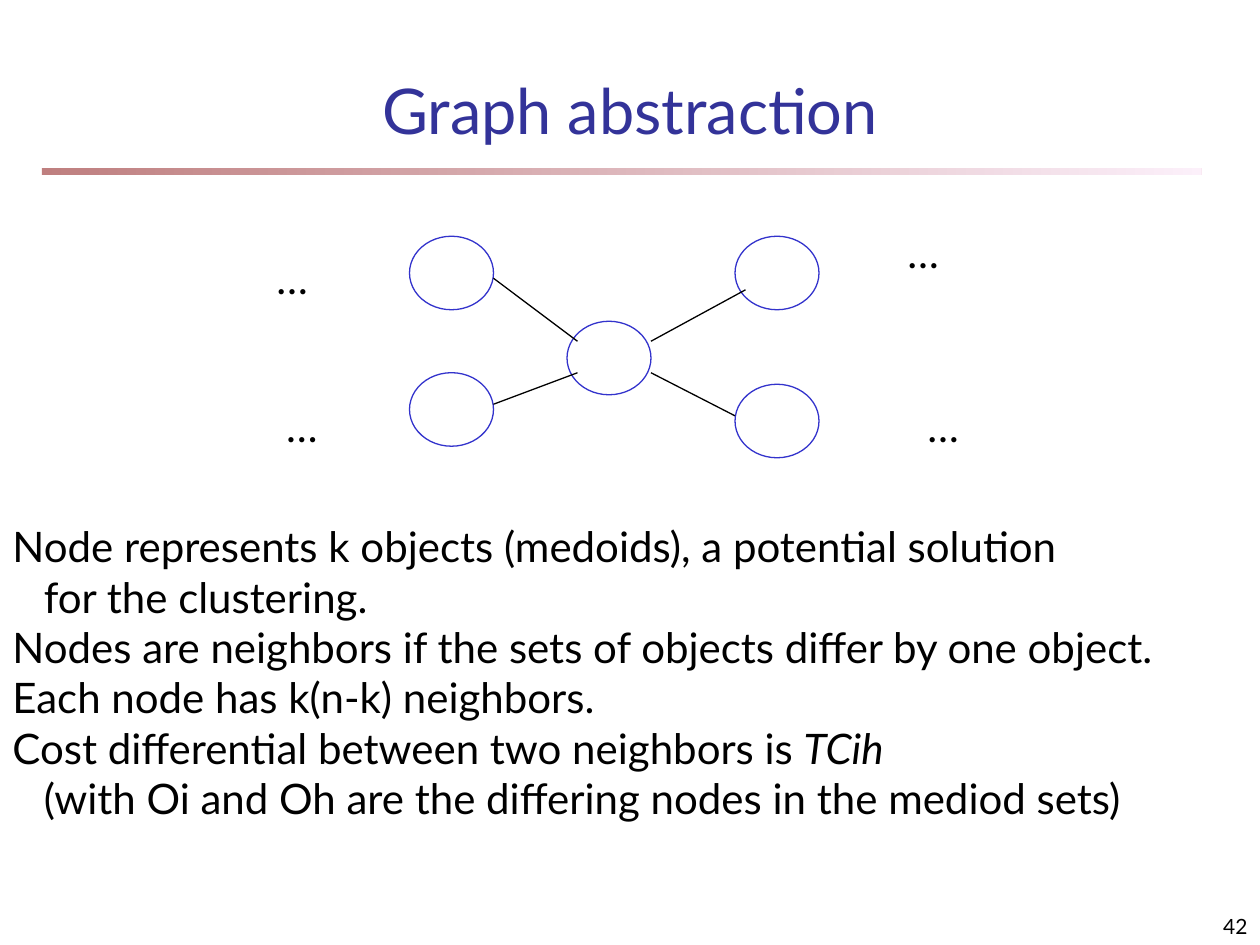
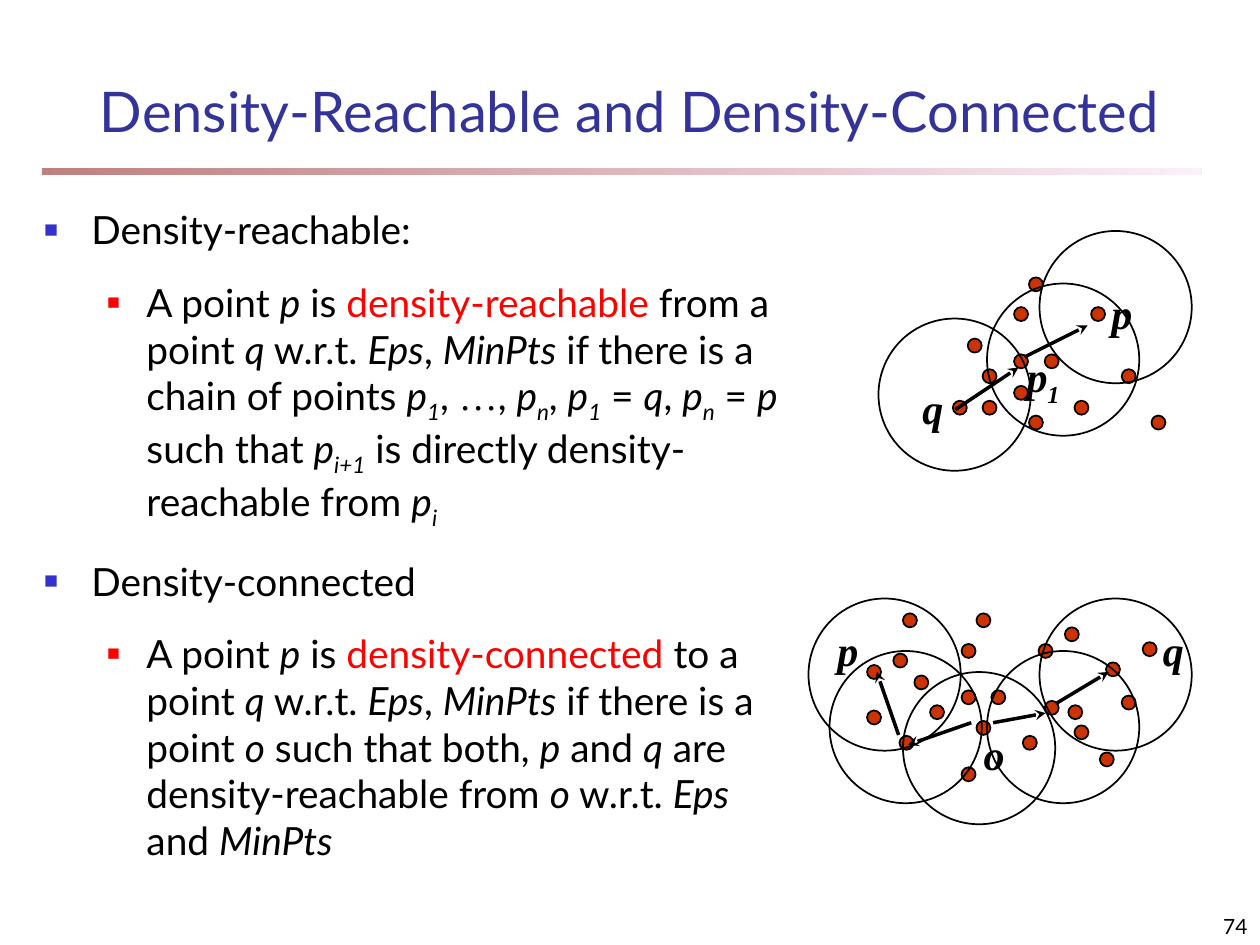
from dataclasses import dataclass

from lxml.etree import SubElement
from pptx import Presentation
from pptx.dml.color import RGBColor
from pptx.enum.shapes import MSO_CONNECTOR, MSO_SHAPE
from pptx.enum.text import MSO_ANCHOR, MSO_AUTO_SIZE, PP_ALIGN
from pptx.oxml.ns import qn
from pptx.util import Pt


@dataclass(frozen=True)
class Theme:
    """Fonts, colours and type sizes of the deck."""
    sans: str = "Lato"
    serif: str = "Times New Roman"
    ink: str = "000000"
    title: str = "333399"
    blue: str = "3333CC"
    red: str = "FF0000"
    dot: str = "CC3300"
    band: tuple = ("800000", "FAE2F6")
    large: float = 36
    wide: float = 32
    text: float = 24
    list: float = 22.2
    foot: float = 12


THEME = Theme()

NODES = [(234, 135), (420, 135), (324, 183.6), (234, 213), (420, 219.6)]
EDGES = [((282, 159), (330, 195)), ((372, 195), (426, 165.6)),
         ((372, 213), (420, 237.6)), ((282, 231), (330, 213))]
GAPS = [(511, 126), (522.5, 225.5), (150.5, 141), (156, 225.5)]

NOTES = [
    (0, "Node represents k objects (medoids), a potential solution"),
    (18, "for the clustering."),
    (0, "Nodes are neighbors if the sets of objects differ by one object."),
    (0, "Each node has k(n-k) neighbors."),
    (0, "Cost differential between two neighbors is *TCih*"),
    (18, "(with Oi and Oh are the differing nodes in the mediod sets)"),
]

POINTS = [
    (0, "Density-reachable:"),
    (1, "A point *p* is !density-reachable! from a point *q* w.r.t. *Eps*, "
        "*MinPts* if there is a chain of points *p_1_*, ~…~, *p_n_*, "
        "*p_1_* = *q*, *p_n_* = *p* such that *p_i+1_* is directly "
        "density-reachable from *p_i_*"),
    (0, "Density-connected"),
    (1, "A point *p* is !density-connected! to a point *q* w.r.t. *Eps*, "
        "*MinPts* if there is a point *o* such that both, *p* and *q* are "
        "density-reachable from *o* w.r.t. *Eps* and *MinPts*"),
]

REACH = {
    "dots": [(553, 193.5), (579.5, 202.5), (579.5, 175.5), (544.5, 229),
             (561.5, 211), (561.5, 229), (588, 237.5), (588, 158.5),
             (641, 211), (623.5, 175.5), (579.5, 220.5), (597, 202.5),
             (614, 229), (658, 237.5)],
    "rings": [(564, 162), (502, 182), (594, 132)],
    "labels": [("p", 628, 161), ("q", 520, 215), ("p_1_", 579.5, 197)],
    "arrows": [((546, 234), (582, 210)), ((585.5, 204), (621.5, 186))],
}

LINK = {
    "dots": [(522.5, 386), (549.5, 394.5), (549.5, 368), (514, 420.5),
             (531.5, 403), (549.5, 438.5), (558, 412), (558, 350.5),
             (610.5, 403), (593.5, 368), (495.5, 406), (566.5, 394.5),
             (584.5, 420.5), (628.5, 430), (641, 397.5), (597, 400.5),
             (614, 414.5), (653, 367), (608.5, 358.5), (632, 378.5),
             (510.5, 373.5), (495.5, 380), (516, 350.5)],
    "rings": [(474, 372), (516, 384), (564, 372), (594, 342), (462, 342)],
    "labels": [("p", 471.5, 353.5), ("q", 657.5, 353.5), ("o", 555, 413)],
    "arrows": [((555, 413), (519, 425.5)), ((567.5, 413), (597.5, 407.5)),
               ((513.5, 420), (501, 384)), ((603.5, 402), (633.5, 384))],
}


def tint(code):
    """Turn a hex code into a colour."""
    return RGBColor.from_string(code)


def place(shape, left, top, width, height):
    """Move and size a shape in points."""
    shape.left, shape.top = Pt(left), Pt(top)
    shape.width, shape.height = Pt(width), Pt(height)


def style(font, size, color=THEME.ink, name=THEME.sans):
    """Set the face, size and colour of a font."""
    font.name, font.size = name, Pt(size)
    font.color.rgb = tint(color)


def write(para, text, size, name=THEME.sans, strong=False):
    """Fill a paragraph: * italic, _ subscript, ! red, ~ serif."""
    marks, chunk = set(), ""

    def flush():
        """Add the pending chunk as a run."""
        if chunk:
            run = para.add_run()
            run.text = chunk
            style(run.font, size, THEME.red if "!" in marks else THEME.ink,
                  THEME.serif if "~" in marks else name)
            run.font.bold = strong
            run.font.italic = strong or "*" in marks
            if "_" in marks:
                run.font._element.set("baseline", "-25000")

    for char in text:
        if char in "*_!~":
            flush()
            chunk = ""
            marks ^= {char}
        else:
            chunk += char
    flush()


def add_box(slide, left, top, width, height):
    """Add a wrapping text box and return its frame."""
    frame = slide.shapes.add_textbox(
        Pt(left), Pt(top), Pt(width), Pt(height)).text_frame
    frame.word_wrap = True
    return frame


def add_oval(slide, left, top, width, height, line, weight, fill=None):
    """Add an ellipse, hollow unless a fill is given."""
    oval = slide.shapes.add_shape(
        MSO_SHAPE.OVAL, Pt(left), Pt(top), Pt(width), Pt(height))
    oval.shadow.inherit = False
    oval.line.color.rgb = tint(line)
    oval.line.width = Pt(weight)
    if fill:
        oval.fill.solid()
        oval.fill.fore_color.rgb = tint(fill)
    else:
        oval.fill.background()


def add_line(slide, start, end, weight, arrow=False):
    """Add a straight line, with a stealth head on demand."""
    line = slide.shapes.add_connector(
        MSO_CONNECTOR.STRAIGHT, *map(Pt, start + end))
    line.line.color.rgb = tint(THEME.ink)
    line.line.width = Pt(weight)
    props = line.element.spPr
    if arrow:
        SubElement(props.find(qn("a:ln")), qn("a:tailEnd"), type="stealth")
    SubElement(props, qn("a:effectLst"))


def add_band(slide):
    """Add the fading rule under the title."""
    band = slide.shapes.add_shape(
        MSO_SHAPE.RECTANGLE, Pt(24), Pt(96), Pt(662.4), Pt(4))
    band.shadow.inherit = False
    band.line.fill.background()
    band.fill.gradient()
    band.fill.gradient_angle = 0
    for stop, code, spot in zip(band.fill.gradient_stops, THEME.band, (0, 1)):
        stop.color.rgb = tint(code)
        stop.position = spot
    for color in band.element.spPr.iter(qn("a:srgbClr")):
        SubElement(color, qn("a:alpha"), val="50000")


def add_slide(deck, layout, title, size, area, number):
    """Add a slide with its title, band and page number."""
    slide = deck.slides.add_slide(deck.slide_layouts[layout])
    add_band(slide)
    frame = add_box(slide, 570, 510, 150, 30)
    frame.vertical_anchor = MSO_ANCHOR.BOTTOM
    frame.text = number
    frame.paragraphs[0].alignment = PP_ALIGN.RIGHT
    style(frame.paragraphs[0].runs[0].font, THEME.foot)
    head = slide.shapes.title
    place(head, *area)
    frame = head.text_frame
    frame.auto_size = MSO_AUTO_SIZE.NONE
    frame.text = title
    frame.paragraphs[0].alignment = PP_ALIGN.CENTER
    style(frame.paragraphs[0].runs[0].font, size, THEME.title)
    return slide


def add_bullet(para, level):
    """Give a paragraph its indent and square bullet."""
    margin, hang, color, scale = [
        (27, 27, THEME.blue, 60), (58.5, 22.5, THEME.red, 55)][level]
    para.level = level
    props = para._p.get_or_add_pPr()
    props.set("marL", str(Pt(margin)))
    props.set("indent", str(-Pt(hang)))
    SubElement(SubElement(props, qn("a:buClr")), qn("a:srgbClr"), val=color)
    SubElement(props, qn("a:buSzPct"), val=str(scale * 1000))
    SubElement(props, qn("a:buFont"), typeface="Arial")
    SubElement(props, qn("a:buChar"), char="■")


def add_list(slide, items):
    """Fill the body with bullets on two levels."""
    body = slide.placeholders[1]
    place(body, 18, 114, 444, 396)
    frame = body.text_frame
    frame.auto_size = MSO_AUTO_SIZE.NONE
    for index, (level, text) in enumerate(items):
        para = frame.add_paragraph() if index else frame.paragraphs[0]
        add_bullet(para, level)
        para.space_before = Pt(15 if index else 0)
        write(para, text, THEME.list)


def add_notes(slide, items):
    """Add the lines of text below the graph."""
    frame = add_box(slide, 0, 294, 713.5, 237.5)
    for index, (indent, text) in enumerate(items):
        para = frame.add_paragraph() if index else frame.paragraphs[0]
        para._p.get_or_add_pPr().set("marL", str(Pt(indent)))
        write(para, text, THEME.text)


def add_graph(slide):
    """Draw the nodes, their edges and the dots that go on."""
    for left, top in NODES:
        add_oval(slide, left, top, 48, 42, THEME.blue, 0.75)
    for start, end in EDGES:
        add_line(slide, start, end, 0.75)
    for left, top in GAPS:
        para = add_box(slide, left, top, 33, 36).paragraphs[0]
        para.alignment = PP_ALIGN.CENTER
        write(para, "…", THEME.text)


def add_cloud(slide, dots, rings, labels, arrows):
    """Draw a cloud of points with rings, labels and arrows."""
    for left, top in dots:
        add_oval(slide, left, top, 8, 8, THEME.ink, 1, THEME.dot)
    for left, top in rings:
        add_oval(slide, left, top, 87, 87, THEME.ink, 1)
    for text, left, top in labels:
        frame = add_box(slide, left, top, 48 if "_" in text else 30, 36)
        write(frame.paragraphs[0], text, THEME.text, THEME.serif, True)
    for start, end in arrows:
        add_line(slide, start, end, 2, True)


def main():
    """Build the deck and save it."""
    deck = Presentation()
    deck.slide_width, deck.slide_height = Pt(720), Pt(540)

    graph = add_slide(deck, 5, "Graph abstraction", THEME.large,
                      (42, 24, 636, 60), "42")
    frame = graph.shapes.title.text_frame
    frame.vertical_anchor = MSO_ANCHOR.BOTTOM
    frame.margin_top = frame.margin_bottom = 0
    add_notes(graph, NOTES)
    add_graph(graph)

    reach = add_slide(deck, 1, "Density-Reachable and Density-Connected",
                      THEME.wide, (0, 30, 720, 66), "74")
    add_list(reach, POINTS)
    add_cloud(reach, **REACH)
    add_cloud(reach, **LINK)

    deck.save("out.pptx")


if __name__ == "__main__":
    main()
